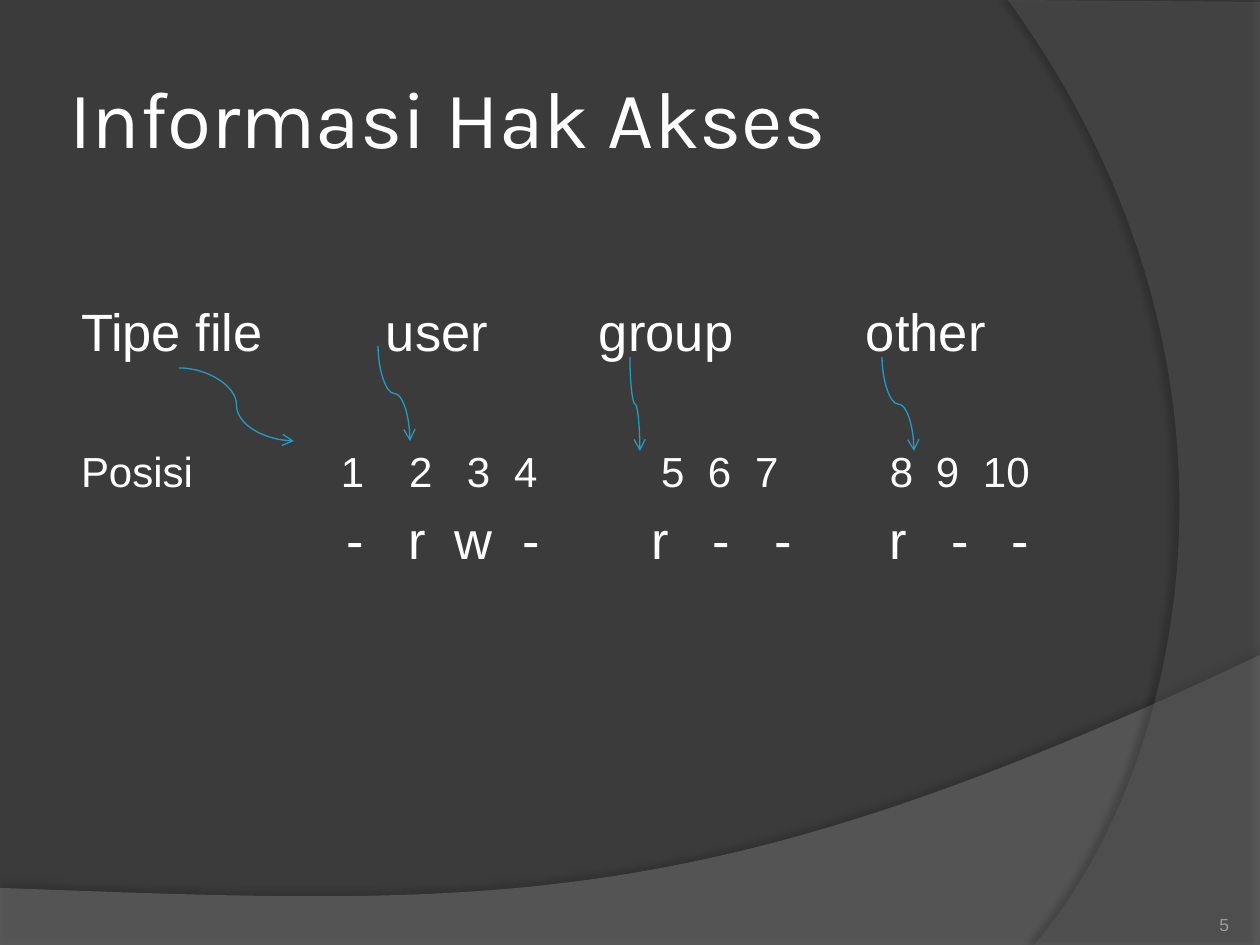
from lxml.etree import SubElement
from pptx import Presentation
from pptx.dml.color import RGBColor
from pptx.enum.shapes import MSO_CONNECTOR as Connector
from pptx.enum.text import MSO_ANCHOR as Anchor, PP_ALIGN as Align
from pptx.oxml.ns import qn
from pptx.util import Pt

PX = 914400 // 126  # EMU per pixel
SLIDE_W, SLIDE_H = 1260, 945

BACKDROP = RGBColor(0x3B, 0x3B, 0x3B)
WAVE = RGBColor(0x7F, 0x7F, 0x7F)
ARC = RGBColor(0x5E, 0x5E, 0x5E)
WHITE = RGBColor(0xFF, 0xFF, 0xFF)
NUMBER_GREY = RGBColor(0x9D, 0x9B, 0x9A)
ARROW_BLUE = RGBColor(0x23, 0x9B, 0xC2)

# Each row: size, space before, entries as (offset from the text's left, text)
ROWS = [
    (30, 0, [(0, "Tipe file"), (305, "user"), (518, "group"), (785, "other")]),
    (24, 47.5, [(0, "Posisi"), (260, "1"), (328, "2"), (386, "3"), (433, "4"),
                (580, "5"), (627, "6"), (674, "7"),
                (809, "8"), (855, "9"), (902, "10")]),
    (30, 6.5, [(266, "-"), (327, "r"), (374, "w"), (441, "-"),
               (571, "r"), (632, "-"), (694, "-"),
               (809, "r"), (870, "-"), (931, "-")]),
]
# Start, end, and whether the arrow leaves its label downwards
ARROWS = [
    ((378, 346), (410, 441), True),
    ((630, 357), (640, 451), True),
    ((882, 357), (914, 451), True),
    ((179, 368), (294, 441), False),
]


def emu(*lengths):
    return [round(length * PX) for length in lengths]


def write(paragraph, text, size, color=WHITE, font="Arial", align=Align.LEFT,
          before=0):
    paragraph.alignment = align
    paragraph.space_before = Pt(before)
    run = paragraph.add_run()
    run.text = text
    run.font.size, run.font.name = Pt(size), font
    run.font.color.rgb = color


def set_frame(frame, anchor, side=0, top=0):
    frame.word_wrap = True
    frame.vertical_anchor = anchor
    frame.margin_left = frame.margin_right = side * PX
    frame.margin_top = top * PX
    frame.margin_bottom = 0


def add_swoosh(slide, corners, controls, color, opacity, shadow_opacity,
               distance, direction):
    builder = slide.shapes.build_freeform(*corners[0], scale=PX)
    builder.add_line_segments(corners[1:], close=False)
    swoosh = builder.convert_to_shape()
    swoosh.line.fill.background()
    swoosh.fill.solid()
    swoosh.fill.fore_color.rgb = color
    swoosh.shadow.inherit = False
    properties = swoosh.element.spPr
    # Curve from the last corner back to the first
    outline = next(properties.iter(qn("a:path")))
    curve = SubElement(outline, qn("a:cubicBezTo"))
    left, top = (min(axis) for axis in zip(*corners))
    for x, y in [*controls, corners[0]]:
        SubElement(curve, qn("a:pt"), x=str(x - left), y=str(y - top))
    SubElement(outline, qn("a:close"))
    # Transparency and soft shadow
    fill_color = properties.find(qn("a:solidFill")).find(qn("a:srgbClr"))
    SubElement(fill_color, qn("a:alpha"), val=str(opacity * 1000))
    shadow = SubElement(properties.find(qn("a:effectLst")), qn("a:outerShdw"),
                        blurRad=str(Pt(4)), dist=str(Pt(distance)),
                        dir=str(direction * 60000), algn="ctr", rotWithShape="0")
    shadow_color = SubElement(shadow, qn("a:srgbClr"), val="000000")
    SubElement(shadow_color, qn("a:alpha"), val=str(shadow_opacity * 1000))


def add_background(slide, width, height):
    slide.background.fill.solid()
    slide.background.fill.fore_color.rgb = BACKDROP
    add_swoosh(slide, [(0, 888), (0, height), (width, height), (width, 655)],
               [(704, 919), (493, 906)], WAVE, 45, 35, 3.5, 270)
    add_swoosh(slide, [(1008, 0), (width, 2), (width, height), (1034, height)],
               [(1178, 780), (1283, 378)], ARC, 40, 45, 4, 180)


def add_title(slide, left, top, width, height):
    title = slide.shapes.title
    title.left, title.top, title.width, title.height = emu(left, top, width, height)
    set_frame(title.text_frame, Anchor.MIDDLE, side=6)
    write(title.text_frame.paragraphs[0], "Informasi Hak Akses", 46, font="Karla")
    slide.shapes.element.append(title.element)  # in front of the background


def add_permissions(slide, left, top, width, height):
    box = slide.shapes.add_textbox(*emu(left, top, width, height))
    frame = box.text_frame
    set_frame(frame, Anchor.TOP, side=18, top=79)
    for index, (size, before, entries) in enumerate(ROWS):
        row = frame.add_paragraph() if index else frame.paragraphs[0]
        text = "\t".join(entry for _, entry in entries)
        if entries[0][0]:
            text = "\t" + text
        write(row, text, size, before=before)
        tab_list = SubElement(row._p.get_or_add_pPr(), qn("a:tabLst"))
        for offset, _ in entries:
            if offset:
                SubElement(tab_list, qn("a:tab"), pos=str(offset * PX), algn="l")


def add_arrow(slide, start, end, downwards):
    (x1, y1), (x2, y2) = start, end
    if downwards:  # lay the curve flat around its centre, then turn it
        mid_x, mid_y = (x1 + x2) / 2, (y1 + y2) / 2
        run, drift = (y2 - y1) / 2, (x2 - x1) / 2
        x1, y1, x2, y2 = mid_x + run, mid_y - drift, mid_x - run, mid_y + drift
    arrow = slide.shapes.add_connector(Connector.CURVE, *emu(x1, y1, x2, y2))
    arrow.line.color.rgb = ARROW_BLUE
    arrow.line.width = Pt(0.75)
    properties = arrow.element.spPr
    if downwards:
        properties.find(qn("a:xfrm")).set("rot", str(270 * 60000))
    SubElement(properties.find(qn("a:ln")), qn("a:tailEnd"), type="arrow")
    SubElement(properties, qn("a:effectLst"))


def add_page_number(slide, left, top, width, height):
    box = slide.shapes.add_textbox(*emu(left, top, width, height))
    set_frame(box.text_frame, Anchor.BOTTOM)
    write(box.text_frame.paragraphs[0], "5", 10, NUMBER_GREY, align=Align.RIGHT)


deck = Presentation()
deck.slide_width, deck.slide_height = emu(SLIDE_W, SLIDE_H)
slide = deck.slides.add_slide(deck.slide_layouts[5])
add_background(slide, SLIDE_W, SLIDE_H)
add_title(slide, 63, 38, 1029, 157)
add_permissions(slide, 63, 220, 1029, 624)
add_page_number(slide, 1124, 885, 105, 50)
for arrow_start, arrow_end, goes_down in ARROWS:
    add_arrow(slide, arrow_start, arrow_end, goes_down)
deck.save("out.pptx")
